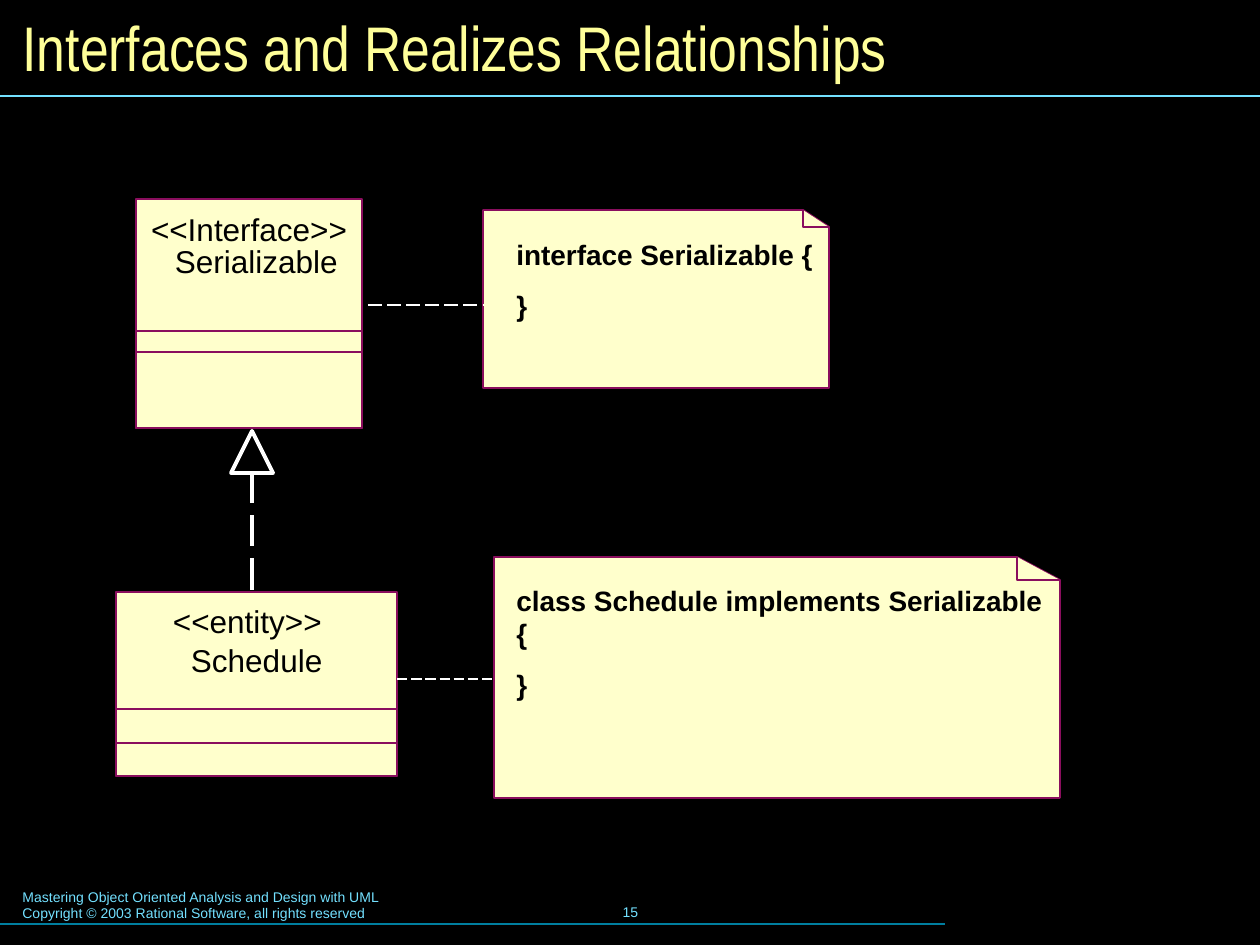
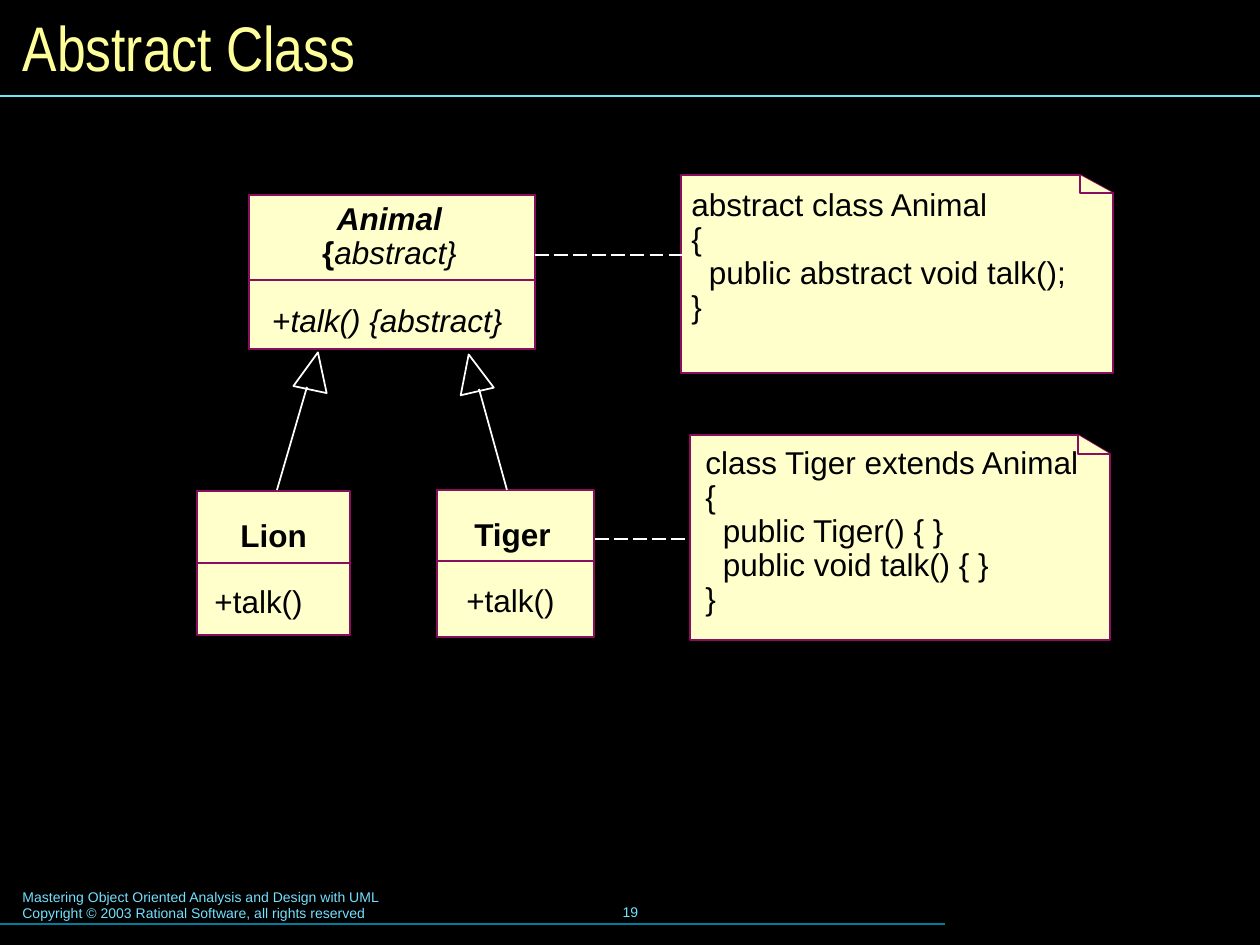
from pptx import Presentation
from pptx.dml.color import RGBColor
from pptx.enum.dml import MSO_LINE
from pptx.enum.shapes import MSO_CONNECTOR as Connector, MSO_SHAPE as Preset
from pptx.enum.text import MSO_ANCHOR as Anchor, MSO_AUTO_SIZE as AutoSize, PP_ALIGN as Align
from pptx.oxml.ns import qn
from pptx.util import Pt
from lxml import etree

EMU_PER_PX = 914400 / 126
PAGE = (1260, 945)

COLORS = {
    "background": "000000",
    "title": "FFFF99",
    "band": "73E1FF",
    "footer_line": "007E9F",
    "paper": "FFFFCC",
    "border": "8A0E5E",
    "relation": "FFFFFF",
    "ink": "000000",
}

# Font formats
TITLE = {"name": "Arial Narrow", "size": Pt(36), "color": "title"}
FOOTER = {"name": "Arial", "size": Pt(8), "color": "band"}
PLAIN = {"name": "Arial", "size": Pt(18), "color": "ink"}
BOLD_CODE = {"name": "Arial", "size": Pt(16), "color": "ink", "bold": True}

# Paragraph formats
TIGHT = {"line_spacing": 0.9}
TIGHT_CENTER = {"line_spacing": 0.9, "alignment": Align.CENTER}

COPYRIGHT = [
    "Mastering Object Oriented Analysis and Design with UML",
    "Copyright © 2003 Rational Software, all rights reserved",
]


def px(*lengths):
    return [round(length * EMU_PER_PX) for length in lengths]


def rgb(name):
    return RGBColor.from_string(COLORS[name])


def set_values(target, values):
    for name, value in values.items():
        setattr(target, name, value)


def set_font(font, values):
    set_values(font, {k: v for k, v in values.items() if k != "color"})
    font.color.rgb = rgb(values["color"])


def set_line(line, color, width, dashed=False):
    line.color.rgb = rgb(color)
    line.width = Pt(width)
    if dashed:
        line.dash_style = MSO_LINE.LONG_DASH


# Text

def write(frame, lines, font, paragraph_format=None, gap=0):
    """Each line is a string or a list of (text, font changes) runs."""
    frame.auto_size = AutoSize.NONE
    for index, line in enumerate(lines):
        paragraph = frame.paragraphs[0] if index == 0 else frame.add_paragraph()
        set_values(paragraph, paragraph_format or {})
        if index and gap:
            paragraph.space_before = Pt(gap)
        for text, changes in [(line, {})] if isinstance(line, str) else line:
            run = paragraph.add_run()
            run.text = text
            set_font(run.font, {**font, **changes})


def add_text(slide, box, lines, font=PLAIN, paragraph_format=None, gap=0,
             wrap=False, anchor=Anchor.TOP):
    frame = slide.shapes.add_textbox(*px(*box)).text_frame
    frame.word_wrap = wrap
    frame.vertical_anchor = anchor
    write(frame, lines, font, paragraph_format, gap)
    return frame


def add_label(slide, box, text):
    frame = add_text(slide, box, [text])
    set_values(frame, dict.fromkeys(
        ("margin_left", "margin_right", "margin_top", "margin_bottom"), 0))


def add_member_text(slide, box, name, name_indent):
    frame = add_text(slide, box, [[(name, {"bold": True})], "+talk()"],
                     paragraph_format=TIGHT, gap=18.6)
    indent = px(name_indent)[0]
    frame.paragraphs[0]._p.get_or_add_pPr().set("marL", str(indent))


# Lines and shapes

def add_rule(slide, start, end, color="relation", width=1, dashed=False):
    rule = slide.shapes.add_connector(Connector.STRAIGHT, *px(*start, *end))
    set_line(rule.line, color, width, dashed)
    etree.SubElement(rule._element.spPr, qn("a:effectLst"))


def paint_paper(shape, width):
    shape.shadow.inherit = False
    shape.fill.solid()
    shape.fill.fore_color.rgb = rgb("paper")
    set_line(shape.line, "border", width)


def add_class_box(slide, box, width=1, compartments=(), rule=None):
    """Class rectangle with compartments reaching its foot and a divider."""
    left, top, box_width, height = box
    for part_top in (top, *compartments):
        part = slide.shapes.add_shape(
            Preset.RECTANGLE,
            *px(left, part_top, box_width, top + height - part_top))
        paint_paper(part, width)
    if rule:
        add_rule(slide, (left, rule), (left + box_width, rule), "border")


def add_outline(slide, points, close):
    start, *others = [px(*point) for point in points]
    builder = slide.shapes.build_freeform(*start)
    builder.add_line_segments(others, close=close)
    paint_paper(builder.convert_to_shape(), 1)


def add_note(slide, box, fold_width, fold_height):
    """Sheet with a folded top right corner."""
    left, top, width, height = box
    right, bottom = left + width, top + height
    fold_top = (right - fold_width, top)
    fold_end = (right, top + fold_height)
    add_outline(slide, [(right, bottom), (left, bottom), (left, top),
                        fold_top, fold_end], True)
    add_outline(slide, [fold_end, (fold_top[0], fold_end[1]), fold_top], False)


def add_arrowhead(slide, box, width=1, rotation=0):
    head = slide.shapes.add_shape(Preset.ISOSCELES_TRIANGLE, *px(*box))
    head.shadow.inherit = False
    head.fill.background()
    head.rotation = rotation
    set_line(head.line, "relation", width)


# Shared slide frame

def add_framed_slide(deck, title, number):
    slide = deck.slides.add_slide(deck.slide_layouts[5])
    heading = slide.shapes.title
    places = zip(("left", "top", "width", "height"), px(10, 10, 1240, 73))
    set_values(heading, dict(places))
    heading.text_frame.vertical_anchor = Anchor.MIDDLE
    write(heading.text_frame, [title], TITLE, {"alignment": Align.LEFT})

    add_text(slide, (10, 882, 643, 47), COPYRIGHT, FOOTER, wrap=True)
    add_text(slide, (431, 880, 399, 63), [str(number)], FOOTER,
             {"alignment": Align.CENTER}, anchor=Anchor.MIDDLE)
    add_rule(slide, (0, 924), (945, 924), "footer_line", 0.75)
    add_rule(slide, (0, 96), (PAGE[0], 96), "band", 0.75)
    return slide


def build_interfaces(deck):
    slide = add_framed_slide(deck, "Interfaces and Realizes Relationships", 15)

    # Interface and the entity that realizes it
    add_class_box(slide, (136, 199, 226, 229), 0, (331, 352))
    add_class_box(slide, (116, 592, 281, 184), 0, (743,), rule=709)
    add_arrowhead(slide, (231, 431, 42, 42), 2.25)
    add_rule(slide, (252, 472), (252, 592), width=2.25, dashed=True)
    add_label(slide, (151, 210, 197, 38), "<<Interface>>")
    add_label(slide, (175, 242, 163, 38), "Serializable")
    add_label(slide, (173, 602, 149, 38), "<<entity>>")
    add_label(slide, (191, 641, 131, 38), "Schedule")

    # Code notes
    add_note(slide, (483, 210, 346, 178), 26, 17)
    add_note(slide, (494, 557, 566, 241), 43, 23)
    add_text(slide, (504, 231, 325, 97), ["interface Serializable {", "}"],
             BOLD_CODE, gap=10, wrap=True)
    add_text(slide, (504, 577, 557, 131),
             ["class Schedule implements Serializable {", "}"],
             BOLD_CODE, gap=10, wrap=True)
    add_rule(slide, (368, 305), (483, 305), dashed=True)
    add_rule(slide, (397, 679), (494, 679), width=0.75, dashed=True)


def build_abstract_class(deck):
    slide = add_framed_slide(deck, "Abstract Class", 19)
    italic = {"italic": True}
    bold = {"bold": True}

    # Abstract parent
    add_class_box(slide, (249, 195, 286, 154), rule=280)
    add_text(slide, (310, 197, 159, 79),
             [[("Animal", {**bold, **italic})],
              [("{", bold), ("abstract}", italic)]],
             paragraph_format=TIGHT_CENTER)
    add_text(slide, (260, 299, 255, 45),
             [[("+", {}), ("talk() {abstract}", italic)]],
             paragraph_format=TIGHT)

    # Children
    add_class_box(slide, (197, 491, 153, 144), rule=563)
    add_class_box(slide, (437, 490, 157, 147), rule=561)
    add_member_text(slide, (202, 514, 117, 113), "Lion", 26)
    add_member_text(slide, (454, 513, 112, 113), "Tiger", 8)

    # Generalization arrows
    add_arrowhead(slide, (297, 352, 34, 38), rotation=12)
    add_arrowhead(slide, (456, 354, 34, 38), rotation=347)
    add_rule(slide, (277, 490), (307, 387))
    add_rule(slide, (507, 490), (479, 389))

    # Code notes
    add_note(slide, (681, 175, 432, 198), 33, 18)
    add_note(slide, (690, 435, 420, 205), 32, 19)
    add_text(slide, (679, 183, 399, 147),
             ["abstract class Animal", "{",
              "  public abstract void talk();", "}"],
             paragraph_format=TIGHT)
    add_text(slide, (693, 441, 401, 181),
             ["class Tiger extends Animal", "{", "  public Tiger() { }",
              "  public void talk() { }", "}"],
             paragraph_format=TIGHT)
    add_rule(slide, (535, 255), (685, 255), dashed=True)
    add_rule(slide, (595, 539), (689, 539), dashed=True)


def main():
    deck = Presentation()
    deck.slide_width, deck.slide_height = px(*PAGE)
    backdrop = deck.slide_master.background.fill
    backdrop.solid()
    backdrop.fore_color.rgb = rgb("background")
    build_interfaces(deck)
    build_abstract_class(deck)
    deck.save("out.pptx")


if __name__ == "__main__":
    main()
